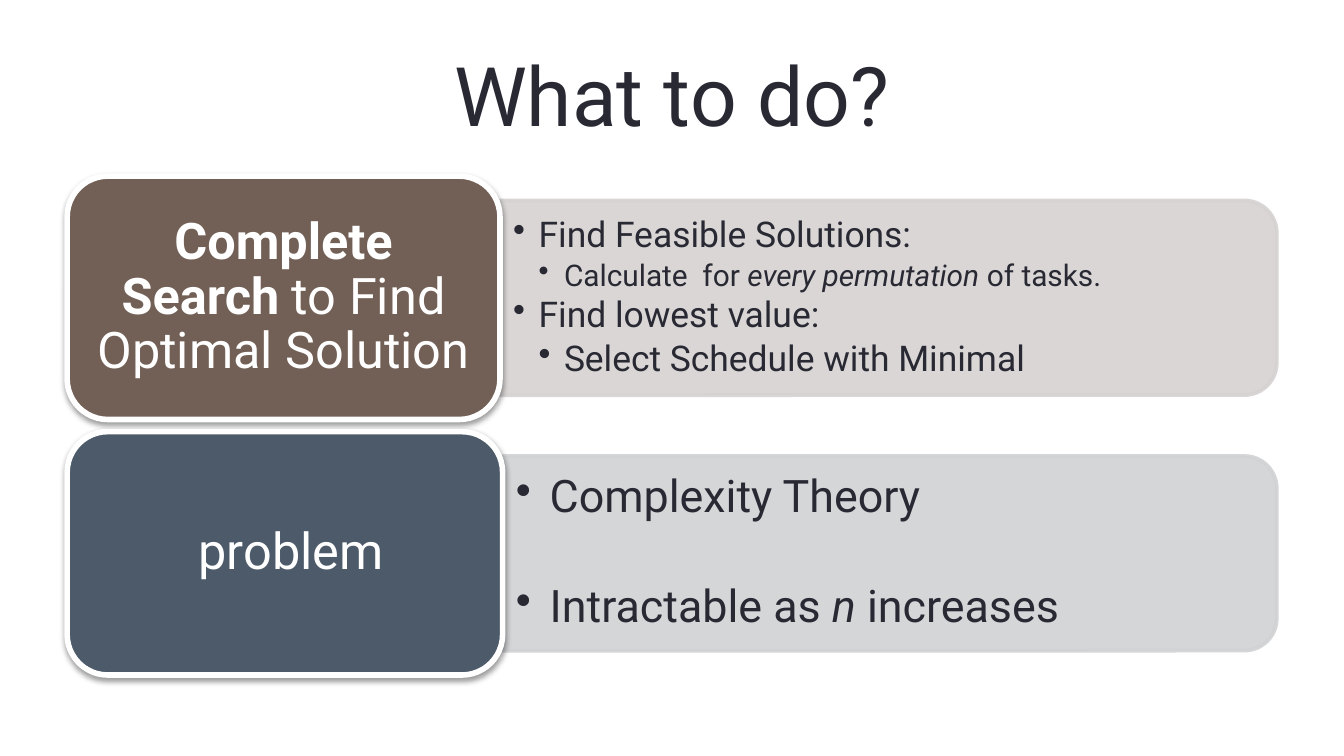
from dataclasses import dataclass

import pptx
import pptx.dml.color
import pptx.enum.shapes
import pptx.enum.text
import pptx.oxml
import pptx.oxml.ns
import pptx.util
from pptx.util import Cm, Pt

COLORS = {
    "ink": "292934",
    "white": "FFFFFF",
    "brown": "726056",
    "brown_tint": "D5D2D1",
    "slate": "4C5A6A",
    "slate_tint": "D0D2D4",
}
FONT = "Roboto"
MARGIN = 1.27
CONTENT_WIDTH = 22.86
FIRST_ROW_TOP = 3.33
ROW_PITCH = 4.83
LABEL_HEIGHT = 4.6
PANEL_HEIGHT = 3.68
BULLET_BOX_HEIGHT = 3.33
PANEL_TEXT_MARGIN = 0.18
LABEL_SIZE = 27


@dataclass(frozen=True)
class Words:
    text: str
    bold: bool = False
    italic: bool = False


@dataclass(frozen=True)
class Bullet:
    words: tuple[Words, ...]
    size: float
    level: int = 1
    space_after: float | None = None


@dataclass(frozen=True)
class Row:
    label: tuple[Words, ...]
    label_width: float
    label_shift: float
    fill: str
    tint: str
    indent: float
    bullets: tuple[Bullet, ...]


ROWS = (
    Row(
        (Words("Complete Search", bold=True), Words(" to Find Optimal Solution")),
        8.18, 0, "brown", "brown_tint", 0.48,
        (
            Bullet((Words("Find Feasible Solutions:"),), 19),
            Bullet((Words("Calculate  for "), Words("every permutation", italic=True),
                    Words(" of tasks.")), 16, level=2),
            Bullet((Words("Find lowest value:"),), 19),
            Bullet((Words("Select Schedule with Minimal"),), 19, level=2),
        ),
    ),
    Row(
        (Words("problem"),),
        8.23, 0.24, "slate", "slate_tint", 0.64,
        (
            Bullet((Words("Complexity Theory"),), 24, space_after=33),
            Bullet((Words("Intractable as "), Words("n", italic=True),
                    Words(" increases")), 24),
        ),
    ),
)


def rgb(name: str) -> pptx.dml.color.RGBColor:
    return pptx.dml.color.RGBColor.from_string(COLORS[name])


def add_words(para, words: tuple[Words, ...], size: float, color: str) -> None:
    for part in words:
        span = para.add_run()
        span.text = part.text
        span.font.name = FONT
        span.font.size = Pt(size)
        span.font.bold = part.bold
        span.font.italic = part.italic
        span.font.color.rgb = rgb(color)


def add_text_box(slide, left: float, top: float, width: float, height: float):
    box = slide.shapes.add_textbox(Cm(left), Cm(top), Cm(width), Cm(height))
    box.text_frame.word_wrap = True
    box.text_frame.vertical_anchor = pptx.enum.text.MSO_ANCHOR.MIDDLE
    return box


def style_shape(shape, fill: str, line: str, line_width: float) -> None:
    shape.shadow.inherit = False
    shape.fill.solid()
    shape.fill.fore_color.rgb = rgb(fill)
    shape.line.color.rgb = rgb(line)
    shape.line.width = Pt(line_width)


def add_title(slide, text: str) -> None:
    box = add_text_box(slide, MARGIN, 0.58, CONTENT_WIDTH, 2.39)
    para = box.text_frame.paragraphs[0]
    para.alignment = pptx.enum.text.PP_ALIGN.CENTER
    add_words(para, (Words(text),), 44, "ink")


def add_panel(slide, row: Row, middle: float) -> None:
    """Draw the tinted panel, a top-rounded shape turned to round its right side."""
    width = CONTENT_WIDTH - row.label_width
    center = MARGIN + row.label_width + width / 2
    panel = slide.shapes.add_shape(
        pptx.enum.shapes.MSO_SHAPE.ROUND_2_SAME_RECTANGLE,
        Cm(center - PANEL_HEIGHT / 2), Cm(middle - width / 2),
        Cm(PANEL_HEIGHT), Cm(width))
    panel.rotation = 90
    style_shape(panel, row.tint, row.tint, 2)
    for color in panel.element.spPr.iter(pptx.oxml.ns.qn("a:srgbClr")):
        color.append(pptx.oxml.parse_xml(
            f'<a:alpha {pptx.oxml.ns.nsdecls("a")} val="90000"/>'))


def add_bullets(slide, row: Row, middle: float) -> None:
    left = MARGIN + row.label_width
    width = CONTENT_WIDTH - row.label_width - PANEL_TEXT_MARGIN
    box = add_text_box(slide, left, middle - BULLET_BOX_HEIGHT / 2,
                       width, BULLET_BOX_HEIGHT)
    frame = box.text_frame
    for index, bullet in enumerate(row.bullets):
        para = frame.add_paragraph() if index else frame.paragraphs[0]
        para.level = bullet.level
        para.line_spacing = 0.9
        para.space_after = Pt(bullet.space_after or bullet.size * 0.15)
        properties = para._p.get_or_add_pPr()
        properties.set("marL", str(Cm(row.indent * bullet.level)))
        properties.set("indent", str(-Cm(row.indent)))
        properties.append(pptx.oxml.parse_xml(
            f'<a:buChar {pptx.oxml.ns.nsdecls("a")} char="•"/>'))
        add_words(para, bullet.words, bullet.size, "ink")


def add_label(slide, row: Row, top: float) -> None:
    label = slide.shapes.add_shape(
        pptx.enum.shapes.MSO_SHAPE.ROUNDED_RECTANGLE,
        Cm(MARGIN), Cm(top), Cm(row.label_width), Cm(LABEL_HEIGHT))
    style_shape(label, row.fill, "white", 3)
    effects = label.element.spPr.find(pptx.oxml.ns.qn("a:effectLst"))
    effects.append(pptx.oxml.parse_xml(
        f'<a:outerShdw {pptx.oxml.ns.nsdecls("a")} blurRad="{Pt(3.1)}" '
        f'dist="{Pt(1.6)}" dir="5400000" rotWithShape="0">'
        '<a:srgbClr val="000000"><a:alpha val="38000"/></a:srgbClr></a:outerShdw>'))
    frame = label.text_frame
    frame.word_wrap = True
    frame.vertical_anchor = pptx.enum.text.MSO_ANCHOR.MIDDLE
    frame.margin_left = Cm(0.28 + row.label_shift)
    frame.margin_right = Cm(0.28)
    frame.margin_top = frame.margin_bottom = Cm(0.15)
    para = frame.paragraphs[0]
    para.alignment = pptx.enum.text.PP_ALIGN.CENTER
    para.line_spacing = 0.9
    para.space_after = Pt(LABEL_SIZE * 0.35)
    add_words(para, row.label, LABEL_SIZE, "white")


def main() -> None:
    deck = pptx.Presentation()
    deck.slide_width = Cm(25.4)
    deck.slide_height = Cm(14.29)
    slide = deck.slides.add_slide(deck.slide_layouts[6])
    add_title(slide, "What to do?")
    for index, row in enumerate(ROWS):
        top = FIRST_ROW_TOP + index * ROW_PITCH
        middle = top + LABEL_HEIGHT / 2
        add_panel(slide, row, middle)
        add_bullets(slide, row, middle)
        add_label(slide, row, top)
    deck.save("out.pptx")


if __name__ == "__main__":
    main()
